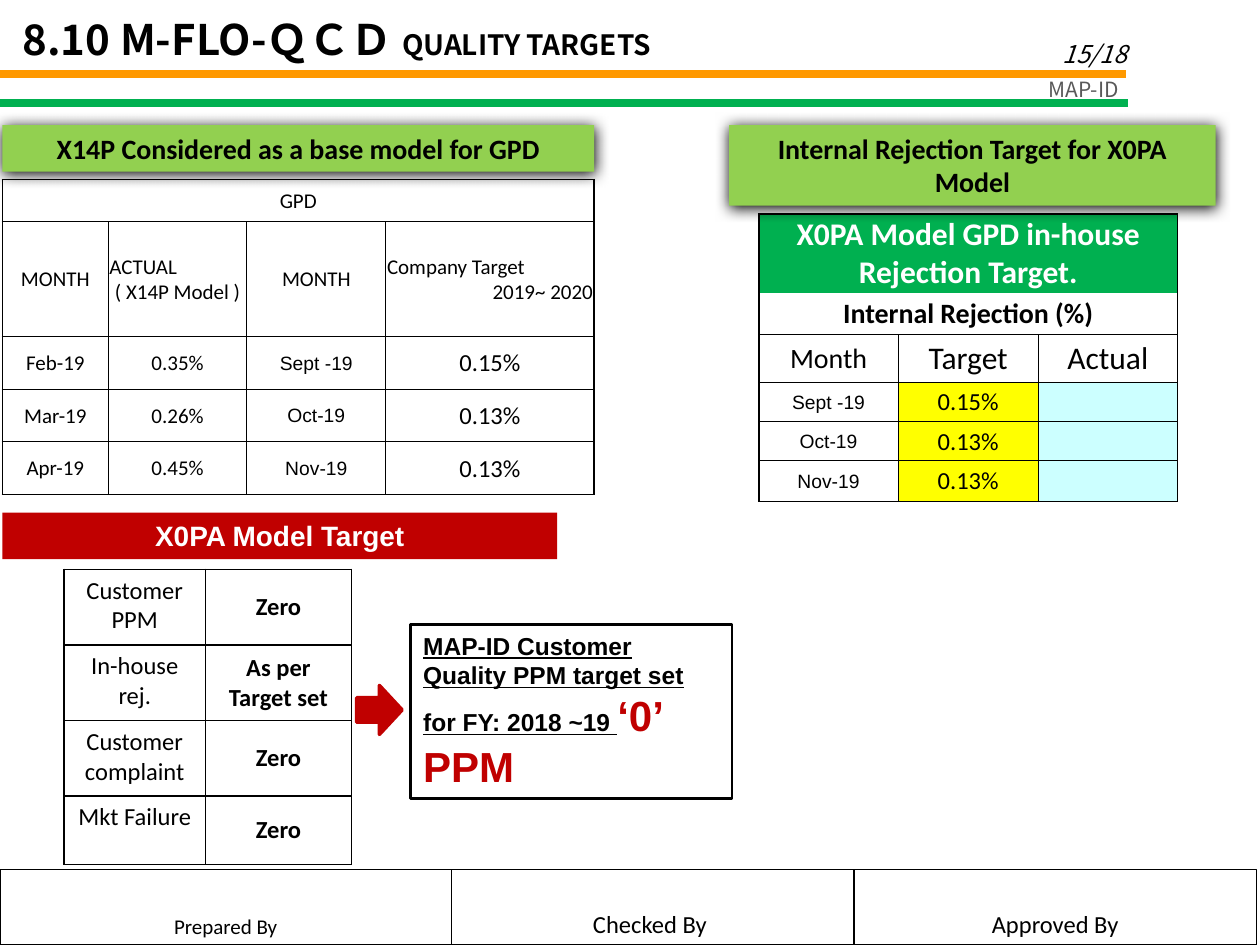
import pptx
import pptx.dml.color
import pptx.enum.shapes
import pptx.enum.text
import pptx.oxml
import pptx.oxml.ns
import pptx.util
from lxml import etree

Pt = pptx.util.Pt
SHAPE = pptx.enum.shapes.MSO_SHAPE
ALIGN = {"l": pptx.enum.text.PP_ALIGN.LEFT, "c": pptx.enum.text.PP_ALIGN.CENTER,
         "r": pptx.enum.text.PP_ALIGN.RIGHT}
ANCHOR = {"t": pptx.enum.text.MSO_ANCHOR.TOP, "m": pptx.enum.text.MSO_ANCHOR.MIDDLE,
          "b": pptx.enum.text.MSO_ANCHOR.BOTTOM}
NS = 'xmlns:a="http://schemas.openxmlformats.org/drawingml/2006/main"'
HEAD = "Noto Sans CJK JP"


def rgb(code):
    return pptx.dml.color.RGBColor.from_string(code)


def paint(fill, color):
    if color:
        fill.solid()
        fill.fore_color.rgb = rgb(color)
    else:
        fill.background()


def text(content, **fmt):
    """Pair a text with its format: size, font, color, bold, italic, underline, align."""
    return content, fmt


def write(tf, runs, align="l"):
    """Fill a frame with runs; a newline starts a paragraph, align has one letter for each."""
    paragraphs = [tf.paragraphs[0]]
    for content, fmt in runs:
        for i, part in enumerate(content.split("\n")):
            if i:
                paragraphs.append(tf.add_paragraph())
            r = paragraphs[-1].add_run()
            r.text = part
            font = r.font
            font.size = Pt(fmt.get("size", 12))
            font.name = fmt.get("font", "Calibri")
            font.bold = fmt.get("bold", False)
            font.italic = fmt.get("italic", False)
            font.underline = fmt.get("underline", False)
            font.color.rgb = rgb(fmt.get("color", "000000"))
            ea = etree.SubElement(r._r.get_or_add_rPr(), pptx.oxml.ns.qn("a:ea"))
            ea.set("typeface", font.name)
    for i, p in enumerate(paragraphs):
        p.alignment = ALIGN[align[min(i, len(align) - 1)]]


class Deck:
    def __init__(self, width, height):
        self.prs = pptx.Presentation()
        self.prs.slide_width, self.prs.slide_height = Pt(width), Pt(height)
        self.s = self.prs.slides.add_slide(self.prs.slide_layouts[6])

    def label(self, x, y, w, h, runs, align="l", anchor="t"):
        tf = self.s.shapes.add_textbox(Pt(x), Pt(y), Pt(w), Pt(h)).text_frame
        tf.word_wrap = True
        tf.vertical_anchor = ANCHOR[anchor]
        write(tf, runs, align)

    def rule(self, x1, x2, y, color, width):
        sp = self.s.shapes.add_connector(pptx.enum.shapes.MSO_CONNECTOR.STRAIGHT,
                                         Pt(x1), Pt(y), Pt(x2), Pt(y))
        sp.line.color.rgb = rgb(color)
        sp.line.width = Pt(width)
        etree.SubElement(sp._element.spPr, pptx.oxml.ns.qn("a:effectLst"))

    def box(self, x, y, w, h, runs=(), fill=None, line=None, width=1,
            align="c", anchor="t", kind=SHAPE.RECTANGLE, shadow=False):
        sp = self.s.shapes.add_shape(kind, Pt(x), Pt(y), Pt(w), Pt(h))
        sp.shadow.inherit = False
        paint(sp.fill, fill)
        paint(sp.line.fill, line)
        if line:
            sp.line.width = Pt(width)
        if shadow:
            effects = sp._element.spPr.find(pptx.oxml.ns.qn("a:effectLst"))
            effects.append(pptx.oxml.parse_xml(
                f'<a:outerShdw {NS} blurRad="{Pt(8.5)}" dist="{Pt(1)}" dir="5400000" '
                'rotWithShape="0"><a:srgbClr val="000000"/></a:outerShdw>'))
        sp.text_frame.word_wrap = True
        sp.text_frame.vertical_anchor = ANCHOR[anchor]
        write(sp.text_frame, runs, align)

    def table(self, x, y, cols, rows, cells, inner=0.5, outer=(1, 1, 1, 1),
              margins=(0.7, 0.7, 0.7, 0), open_below=()):
        """Draw a table; outer is left, right, top, bottom; a one-cell row spans all columns."""
        tb = self.s.shapes.add_table(len(rows), len(cols), Pt(x), Pt(y),
                                     Pt(sum(cols)), Pt(sum(rows))).table
        tb.first_row = tb.horz_banding = False
        for column, w in zip(tb.columns, cols):
            column.width = Pt(w)
        last_row, last_col = len(rows) - 1, len(cols) - 1
        for i, (row, h) in enumerate(zip(cells, rows)):
            tb.rows[i].height = Pt(h)
            spans = len(row) == 1
            for j in range(len(cols)):
                cell = tb.cell(i, j)
                if j < len(row):
                    content, fmt = row[j]
                    write(cell.text_frame, [row[j]], fmt.get("align", "c"))
                    cell.vertical_anchor = ANCHOR[fmt.get("anchor", "m")]
                    (cell.margin_left, cell.margin_top,
                     cell.margin_right, cell.margin_bottom) = map(Pt, margins)
                    paint(cell.fill, fmt.get("fill"))
                self.borders(cell, {
                    "L": outer[0] if j == 0 or spans else inner,
                    "R": outer[1] if j == last_col or spans else inner,
                    "T": outer[2] if i == 0 else 0 if i - 1 in open_below else inner,
                    "B": outer[3] if i == last_row else 0 if i in open_below else inner})
            if spans:
                tb.cell(i, 0).merge(tb.cell(i, last_col))

    def borders(self, cell, widths):
        tcPr = cell._tc.get_or_add_tcPr()
        for n, (side, width) in enumerate(widths.items()):
            ink = '<a:solidFill><a:srgbClr val="000000"/></a:solidFill>' if width else "<a:noFill/>"
            tcPr.insert(n, pptx.oxml.parse_xml(
                f'<a:ln{side} {NS} w="{Pt(width)}">{ink}</a:ln{side}>'))


def main():
    d = Deck(720, 540)

    # Header
    d.label(501, 6.5, 150, 36, [text("15/18", size=14, font=HEAD, italic=True)], "r", "b")
    d.rule(-0.7, 643.7, 42.3, "FF9900", 4.5)
    d.rule(0, 644.4, 59, "00B050", 4.5)
    d.label(538.5, 40.3, 108, 21.6, [text("MAP-ID", size=12, font=HEAD, color="595959")], "r")
    d.label(5.8, 4.3, 639.4, 36, [text("8.10 M-FLO-ＱＣＤ ", size=24, font=HEAD, bold=True),
                                  text("QUALITY TARGETS", size=16, font=HEAD, bold=True)])

    # Model targets
    goals = [("Customer PPM", "Zero"), ("In-house rej.", "As per Target set"),
             ("Customer complaint", "Zero"), ("Mkt Failure", "Zero")]
    d.table(36.7, 325.4, [80.6, 83.7], [43.2, 43.2, 43.2, 38.9],
            [[text(name, size=14, anchor="t"), text(goal, size=14, bold=True)]
             for name, goal in goals], inner=1, margins=(7.2, 3.6, 7.2, 3.6))
    d.box(1.4, 293, 317, 26.6, [text("X0PA Model Target", size=16, font="Arial",
                                     color="FFFFFF", bold=True)], fill="C00000")
    d.box(203.8, 391.7, 26, 28, fill="C00000", line="C00000", width=2, kind=SHAPE.RIGHT_ARROW)
    d.box(234.7, 357, 183.6, 99.5,
          [text("MAP-ID Customer Quality PPM target set for FY: 2018 ~19 ", size=14,
                font="Arial", bold=True, underline=True),
           text("‘0’ PPM", size=24, font="Arial", bold=True, color="C00000")],
          line="000000", width=1.5, align="l")

    # Internal rejection targets
    targets = [("Sept -19", "0.15%"), ("Oct-19", "0.13%"), ("Nov-19", "0.13%")]
    d.table(433.6, 122.4, [79.8] * 3, [44.8, 24, 27.4, 22.1, 22.1, 23.1],
            [[text("X0PA Model GPD in-house Rejection Target.", size=18, bold=True,
                   color="FFFFFF", fill="00B050")],
             [text("Internal Rejection (%)", size=16, bold=True)],
             [text("Month", size=16), text("Target", size=18), text("Actual", size=18)]]
            + [[text(month, size=11, font="Arial"), text(goal, size=14, fill="FFFF00"),
                text("", size=14, fill="CCFFFF")] for month, goal in targets],
            outer=(1, 1, 1, 0.5), open_below=(0,))
    d.box(416.7, 71.5, 278, 46, [text("Internal Rejection Target for X0PA Model", size=16,
                                      bold=True)], fill="92D050", shadow=True)

    # Base model history and company targets
    history = [("Feb-19", "0.35%"), ("Mar-19", "0.26%"), ("Apr-19", "0.45%")]
    d.table(1.4, 102.6, [60.5, 79.2, 79.4, 119], [24.2, 65.5, 30.1, 30.1, 30.1],
            [[text("GPD")],
             [text("MONTH"), text("ACTUAL\n( X14P Model )", align="lc"),
              text("MONTH"), text("Company Target\n2019~ 2020", align="lr")]]
            + [[text(past), text(actual), text(month, size=11, font="Arial"),
                text(goal, size=14)]
               for (past, actual), (month, goal) in zip(history, targets)])
    d.box(1.4, 71.5, 338.2, 26.6, [text("X14P Considered as a base model for GPD", size=16,
                                        bold=True)], fill="92D050", shadow=True)

    # Sign-off row
    x = 0
    for name, w, size in [("Prepared By", 258, 12), ("Checked By ", 230, 14),
                          ("Approved By", 230, 14)]:
        d.box(x, 497, w, 43, [text(name, size=size)], line="000000", width=0.75, anchor="b")
        x += w

    d.prs.save("out.pptx")


if __name__ == "__main__":
    main()
